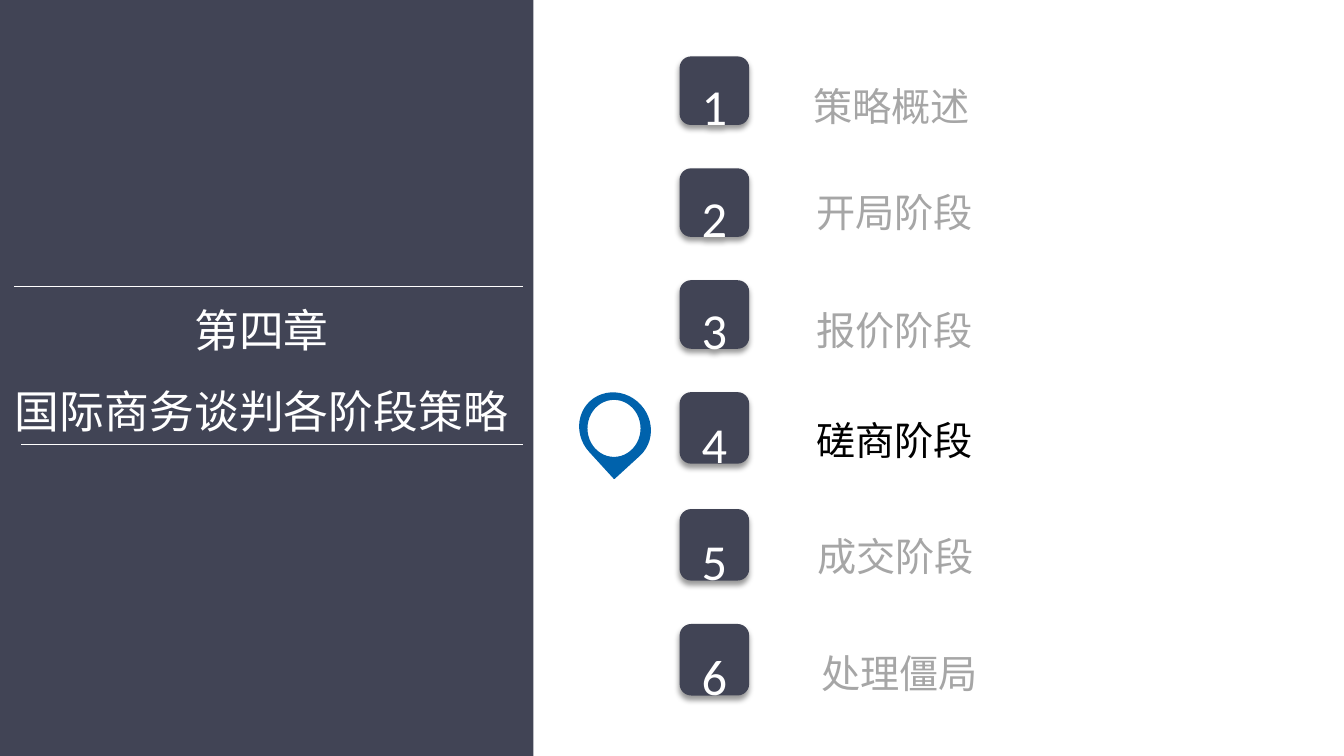
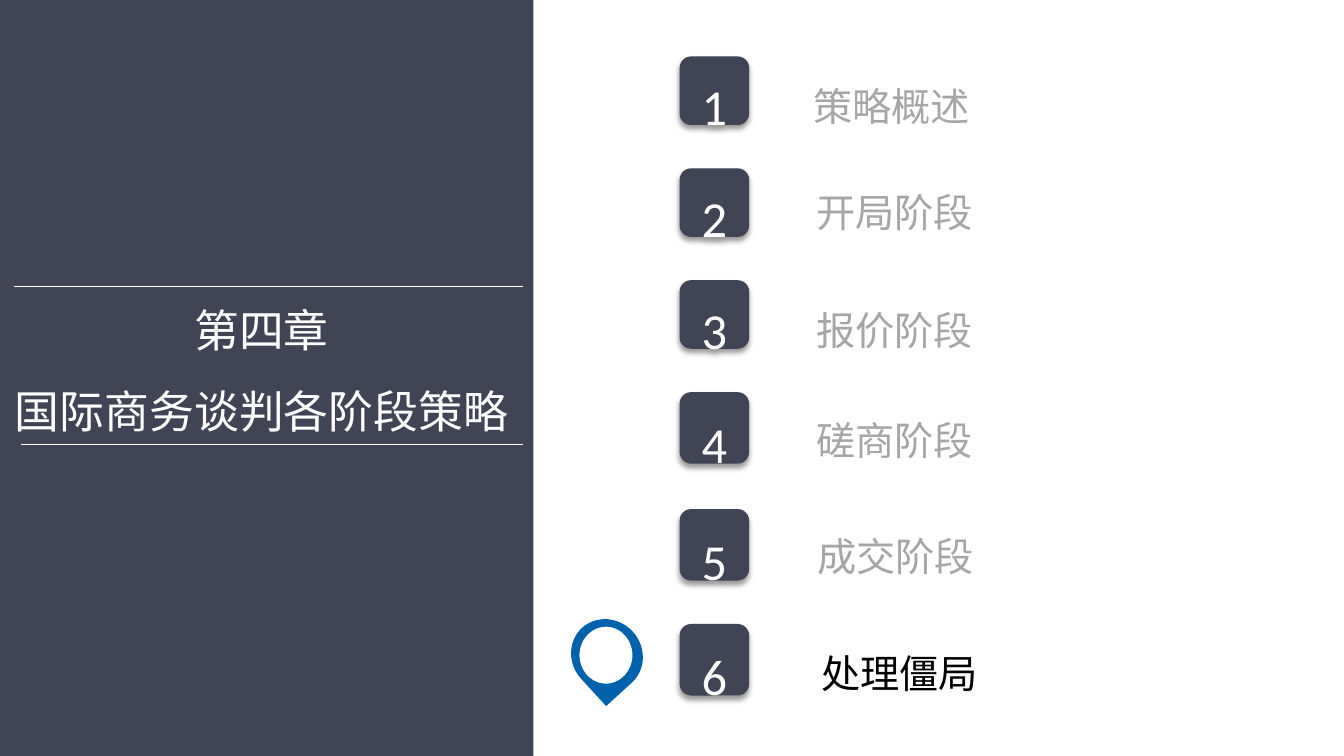
from lxml import etree
from pptx import Presentation
from pptx.dml.color import RGBColor
from pptx.enum import shapes, text
from pptx.oxml import ns
from pptx.util import Pt

PX = 9144  # 100 px to the inch

SLATE = RGBColor(0x41, 0x44, 0x55)
BLUE = RGBColor(0x00, 0x62, 0xAC)
WHITE = RGBColor(0xFF, 0xFF, 0xFF)
GREY = RGBColor(0xA6, 0xA6, 0xA6)
BLACK = RGBColor(0x00, 0x00, 0x00)
CJK_FONT = "Noto Sans CJK SC"

CHAPTER = "第四章\n国际商务谈判各阶段策略"
# number top, number height, label left, label top, label
STAGES = [
    (56, 68, 797, 53, "策略概述"),
    (167, 68, 800, 159, "开局阶段"),
    (278, 68, 800, 276, "报价阶段"),
    (389, 71, 800, 385, "磋商阶段"),
    (505, 71, 801, 500, "成交阶段"),
    (619, 71, 805, 616, "处理僵局"),
]
# current stage, pin left, pin top
AGENDAS = [(4, 576, 389), (6, 568, 614)]


def add_block(parent, kind, left, top, width, height, fill, line=None):
    """Add a flat preset shape, outlined only when a line colour is given."""
    block = parent.add_shape(kind, left * PX, top * PX, width * PX, height * PX)
    block.shadow.inherit = False
    block.fill.solid()
    block.fill.fore_color.rgb = fill
    if line is None:
        block.line.fill.background()
    else:
        block.line.color.rgb = line
        block.line.width = Pt(1)
    return block


def write(box, words, size, font, color, align):
    box.text_frame.text = words
    for para in box.text_frame.paragraphs:
        para.alignment = align
        para.line_spacing = 1.5
        for span in para.runs:
            span.font.size = Pt(size)
            span.font.name = font
            span.font.color.rgb = color
            east_asian = etree.SubElement(span.font._element, ns.qn("a:ea"))
            east_asian.set("typeface", CJK_FONT)


deck = Presentation()
deck.slide_width = 1333 * PX
deck.slide_height = 750 * PX

for current, pin_left, pin_top in AGENDAS:
    page = deck.slides.add_slide(deck.slide_layouts[6])

    # Chapter panel
    add_block(page.shapes, shapes.MSO_SHAPE.RECTANGLE, 0, 0, 529, 750, SLATE)
    title = page.shapes.add_textbox(-10 * PX, 269 * PX, 539 * PX, 172 * PX)
    title.text_frame.word_wrap = True
    title.text_frame.auto_size = text.MSO_AUTO_SIZE.SHAPE_TO_FIT_TEXT
    write(title, CHAPTER, 32, "Times New Roman", WHITE, text.PP_ALIGN.CENTER)
    for left, y in [(14, 284), (21, 441)]:
        rule = page.shapes.add_connector(
            shapes.MSO_CONNECTOR.STRAIGHT, left * PX, y * PX, 519 * PX, y * PX)
        rule.line.color.rgb = WHITE
        rule.line.width = Pt(0.5)
        etree.SubElement(rule._element.spPr, ns.qn("a:effectLst"))

    # Numbered stages
    for number, stage in enumerate(STAGES, 1):
        badge_top, badge_height, label_left, label_top, name = stage
        badge = add_block(page.shapes, shapes.MSO_SHAPE.ROUNDED_RECTANGLE,
                          674, badge_top, 69, badge_height, SLATE)
        effects = badge._element.spPr.find(ns.qn("a:effectLst"))
        shadow = etree.SubElement(effects, ns.qn("a:outerShdw"), blurRad="50800",
                                  dist="38100", dir="5400000", rotWithShape="0")
        shade = etree.SubElement(shadow, ns.qn("a:srgbClr"), val="000000")
        etree.SubElement(shade, ns.qn("a:alpha"), val="40000")
        badge.text_frame.vertical_anchor = text.MSO_ANCHOR.MIDDLE
        write(badge, str(number), 36, "Calibri", WHITE, text.PP_ALIGN.CENTER)

        label = page.shapes.add_textbox(
            label_left * PX, label_top * PX, 177 * PX, 72 * PX)
        label.text_frame.word_wrap = False
        label.text_frame.auto_size = text.MSO_AUTO_SIZE.SHAPE_TO_FIT_TEXT
        color = BLACK if number == current else GREY
        write(label, name, 28, CJK_FONT, color, text.PP_ALIGN.LEFT)

    # Pin beside the current stage
    pin = page.shapes.add_group_shape()
    drop = add_block(pin.shapes, shapes.MSO_SHAPE.TEAR,
                     pin_left, pin_top, 68, 72, BLUE, BLUE)
    drop.rotation = 137.5
    add_block(pin.shapes, shapes.MSO_SHAPE.OVAL,
              pin_left + 6, pin_top + 7, 54, 58, WHITE, BLUE)

deck.save("out.pptx")
